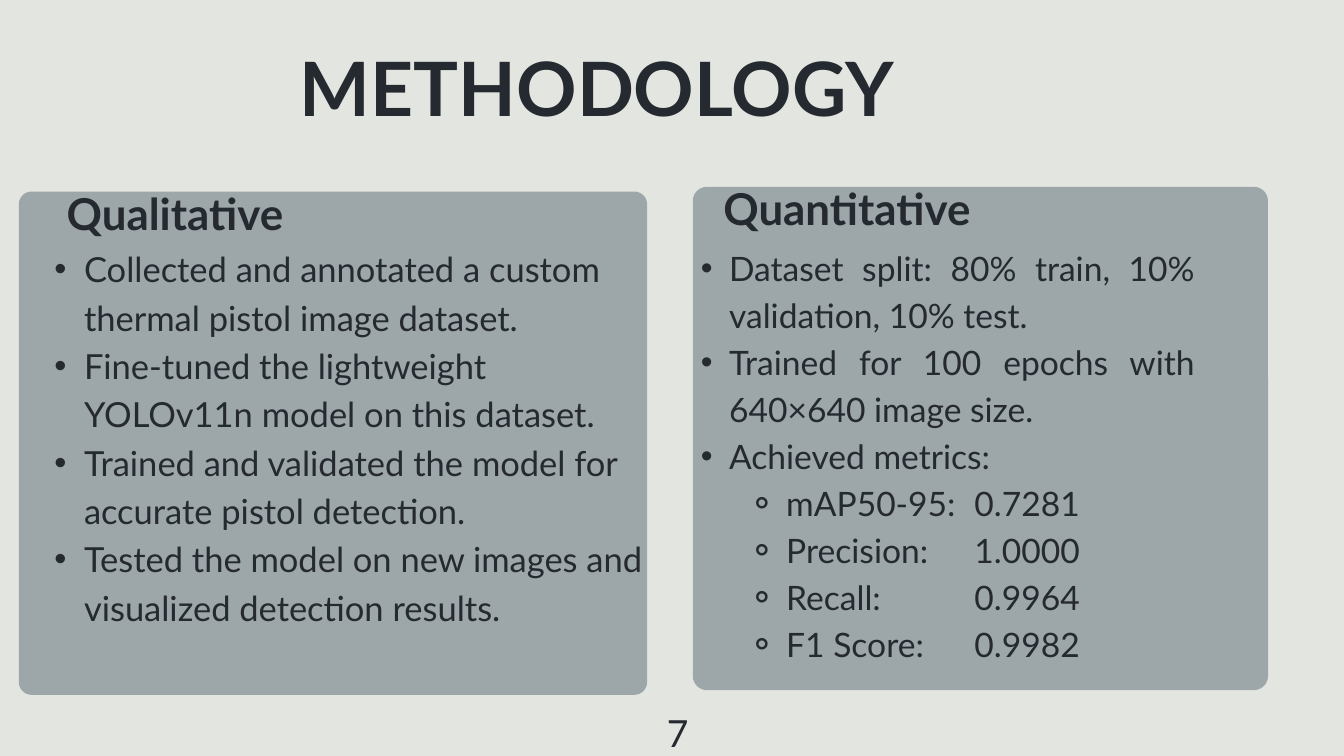
from dataclasses import dataclass

from lxml.etree import SubElement
from pptx import Presentation
from pptx.dml.color import RGBColor
from pptx.enum.shapes import MSO_SHAPE as Shape
from pptx.enum.text import MSO_ANCHOR as Anchor, MSO_AUTO_SIZE as Fit, PP_ALIGN as Align
from pptx.oxml.ns import qn
from pptx.util import Inches, Pt

COLORS = {"back": "E3E6E0", "panel": "2C3E50", "text": "252930"}
FONT = "Lato"
Box = tuple[float, float, float, float]


@dataclass
class Bullet:
    mark: str
    left: float
    hang: float


@dataclass
class Column:
    panel: Box
    radius: float
    head: str
    head_box: Box
    body_box: Box
    size: float
    pitch: float
    align: Align
    bullet: Bullet
    items: list[str]
    metrics: list[tuple[str, str]]


SUB = Bullet("⚬", 1.7, 0.57)
VALUE_TAB = 4.5

COLUMNS = [
    Column(
        (0.28, 2.85, 9.35, 7.49), 0.19,
        "Qualitative", (0.05, 3.04, 5.11, 0.59),
        (0.38, 3.59, 9.24, 7.18), 37, 51.8, Align.LEFT, Bullet("•", 0.87, 0.44),
        ["Collected and annotated a custom thermal pistol image dataset.",
         "Fine-tuned the lightweight YOLOv11n model on this dataset.",
         "Trained and validated the model for accurate pistol detection.",
         "Tested the model on new images and visualized detection results."],
        [],
    ),
    Column(
        (10.31, 2.78, 8.56, 7.49), 0.21,
        "Quantitative", (10, 2.97, 5.21, 0.59),
        (10, 3.59, 7.78, 6.97), 36, 50.4, Align.JUSTIFY, Bullet("•", 0.85, 0.42),
        ["Dataset split: 80% train, 10% validation, 10% test.",
         "Trained for 100 epochs with 640×640 image size.",
         "Achieved metrics:"],
        [("mAP50-95:", "0.7281"), ("Precision:", "1.0000"),
         ("Recall:", "0.9964"), ("F1 Score:", "0.9982")],
    ),
]


def color(name: str) -> RGBColor:
    return RGBColor.from_string(COLORS[name])


def place(shape, box: Box) -> None:
    shape.left, shape.top, shape.width, shape.height = map(Inches, box)


def set_frame(shape, box: Box, wrap: bool = True):
    """Move a text shape, clear its margins and return its frame."""
    place(shape, box)
    frame = shape.text_frame
    frame.margin_left = frame.margin_top = frame.margin_right = frame.margin_bottom = 0
    frame.vertical_anchor = Anchor.TOP
    frame.auto_size = Fit.NONE
    frame.word_wrap = wrap
    return frame


def style(para, size: float, pitch: float, align: Align, bold: bool = False) -> None:
    para.alignment = align
    para.line_spacing = Pt(pitch)
    para.space_before = para.space_after = Pt(0)
    for run in para.runs:
        font = run.font
        font.name, font.size, font.bold = FONT, Pt(size), bold
        font.color.rgb = color("text")


def add_bullet(para, bullet: Bullet) -> None:
    props = para._p.get_or_add_pPr()
    props.set("marL", str(Inches(bullet.left)))
    props.set("indent", str(-Inches(bullet.hang)))
    SubElement(props, qn("a:buFont"), typeface="Arial")
    SubElement(props, qn("a:buChar"), char=bullet.mark)


def add_tab(para, pos: float) -> None:
    tabs = SubElement(para._p.get_or_add_pPr(), qn("a:tabLst"))
    SubElement(tabs, qn("a:tab"), pos=str(Inches(pos)), algn="l")


def write_line(shape, box: Box, text: str, size: float, pitch: float,
               bold: bool = True, wrap: bool = True) -> None:
    frame = set_frame(shape, box, wrap)
    frame.text = text
    style(frame.paragraphs[0], size, pitch, Align.CENTER, bold)


def write_list(shape, col: Column) -> None:
    frame = set_frame(shape, col.body_box)
    rows = [f"{name}\t{value}" for name, value in col.metrics]
    frame.text = "\n".join(col.items + rows)
    for i, para in enumerate(frame.paragraphs):
        sub = i >= len(col.items)
        para.level = 2 if sub else 1
        add_bullet(para, SUB if sub else col.bullet)
        if sub:
            add_tab(para, VALUE_TAB)
        style(para, col.size, col.pitch, Align.LEFT if sub else col.align)


def add_panel(slide, col: Column) -> None:
    panel = slide.shapes.add_shape(Shape.ROUNDED_RECTANGLE, *map(Inches, col.panel))
    panel.adjustments[0] = col.radius / min(col.panel[2:])
    panel.shadow.inherit = False
    panel.line.fill.background()
    panel.fill.solid()
    panel.fill.fore_color.rgb = color("panel")
    tint = panel._element.spPr.find(".//" + qn("a:srgbClr"))
    SubElement(tint, qn("a:alpha"), val="38000")
    # Panels lie behind the placeholders
    slide.shapes._spTree.insert(2, panel._element)


def main() -> None:
    prs = Presentation()
    prs.slide_width, prs.slide_height = Inches(20), Inches(11.25)
    slide = prs.slides.add_slide(prs.slide_layouts.get_by_name("Comparison"))
    slide.background.fill.solid()
    slide.background.fill.fore_color.rgb = color("back")

    write_line(slide.shapes.title, (3.17, 1.07, 11.42, 1.01), "METHODOLOGY", 80.3, 64.3)
    holders = list(slide.placeholders)[1:]
    for col, head, body in zip(COLUMNS, holders[::2], holders[1::2]):
        add_panel(slide, col)
        write_line(head, col.head_box, col.head, 47, 37.6)
        write_list(body, col)

    box = (10, 10.45, 0.17, 0.25)
    number = slide.shapes.add_textbox(*map(Inches, box))
    write_line(number, box, "7", 40, 56, bold=False, wrap=False)
    prs.save("out.pptx")


if __name__ == "__main__":
    main()
